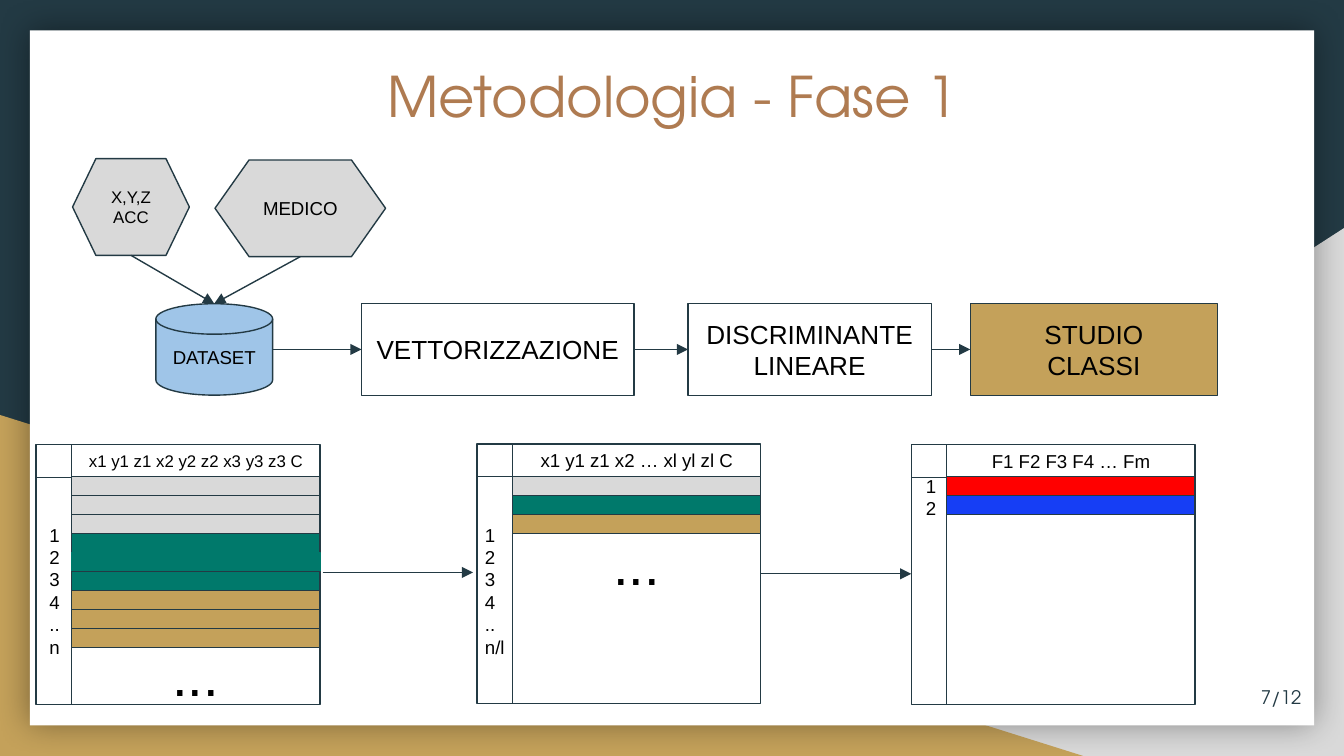
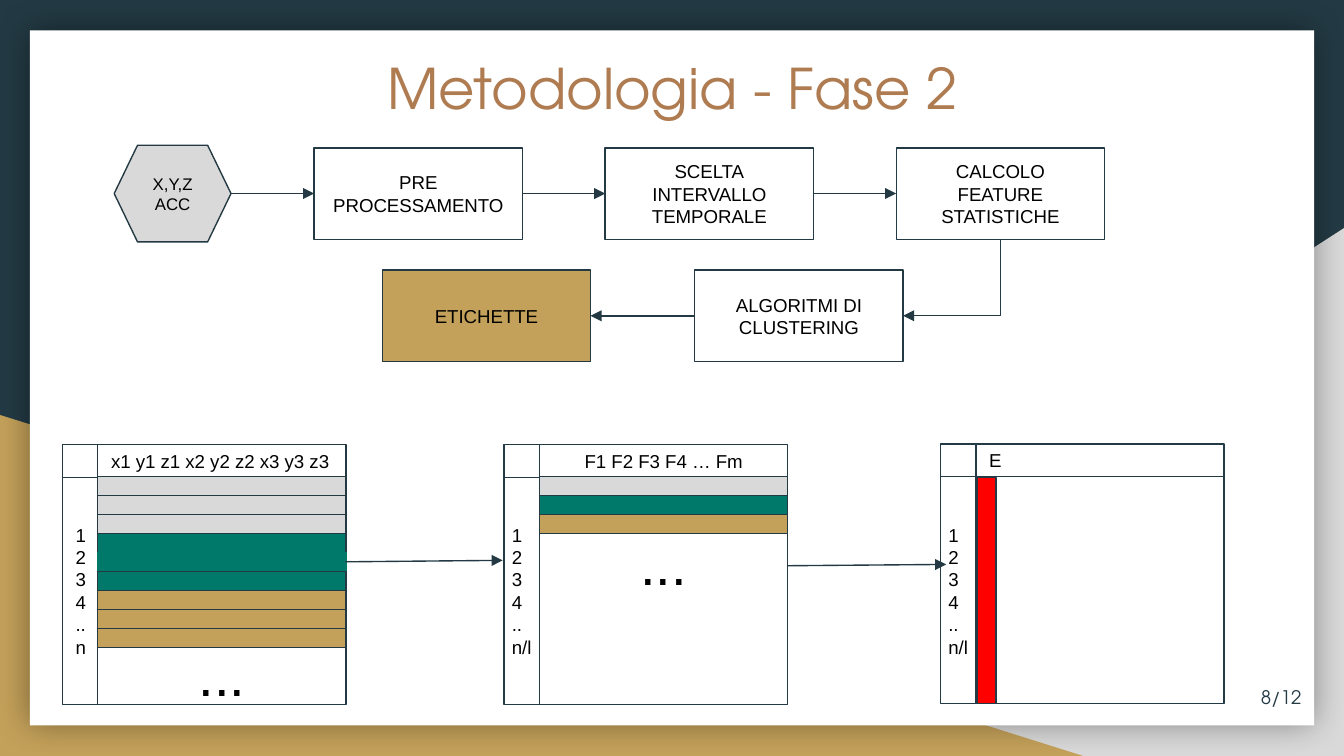
from lxml.etree import SubElement
from pptx import Presentation
from pptx.dml.color import RGBColor
from pptx.enum.shapes import MSO_CONNECTOR as Conn, MSO_SHAPE as Form
from pptx.enum.text import MSO_ANCHOR as Anchor, PP_ALIGN as Align
from pptx.oxml.ns import qn
from pptx.util import Pt

COL = {"navy": "233A44", "grey": "D9D9D9", "gold": "C4A15A", "white": "FFFFFF",
       "brown": "AF7B51", "black": "000000", "sky": "9FC5E8", "teal": "00796B",
       "red": "FF0000", "blue": "163EF5"}
BODY, HEAD = "Arial", "TeX Gyre Adventor"

# Shared measures
BOX_H, HEX_H = 49, 51.8
GRID_W, GRID_H, SIDE, CAP = 152, 139, 19, 17.4
BAR_TOP, BAR_H = 255.2, 10.2

# Bars as (fill, edge)
LONG = ([("grey", "navy")] * 3
        + [("teal", "navy"), ("teal", "teal"), ("teal", "navy")]
        + [("gold", "navy")] * 3)
SHORT = [("grey", "navy"), ("teal", "navy"), ("gold", "navy")]
PAIR = [("red", "navy"), ("blue", "navy")]

# Row labels: lines, shift, width, height
ROWS = (["1", "2", "3", "4", "..", "n"], 0, 25.2, 121.7)
PARTS = (["1", "2", "3", "4", "..", "n/l"], -2.9, 25.2, 121.7)
TWO = (["1", "2"], 0.7, 18, 21.6)

DISK, HEX, PROC = (Form.FLOWCHART_MAGNETIC_DISK, Form.FLOWCHART_PREPARATION,
                   Form.FLOWCHART_PROCESS)

# Nodes: form, box, fill, size, lines. Links: node, side, node, side.
# Grids: left, top, heading, size, alignment, labels, bars, top of dots.
SLIDES = [
    {"title": "Metodologia - Fase 1", "top": 25.9, "page": "7/12",
     "nodes": {
         "data": (DISK, (83.5, 162.7, 62.6, BOX_H), "sky", 10, ["DATASET"]),
         "acc": (HEX, (38.9, 85, 62.6, HEX_H), "grey", 9, ["X,Y,Z", "ACC"]),
         "med": (HEX, (115.2, 85.7, 91.4, HEX_H), "grey", 10, ["MEDICO"]),
         "vett": (PROC, (193.7, 162.7, 146, BOX_H), None, 14, ["VETTORIZZAZIONE"]),
         "disc": (PROC, (368.6, 162.7, 130.3, BOX_H), None, 14,
                  ["DISCRIMINANTE LINEARE"]),
         "study": (PROC, (519.8, 162.7, 132.5, BOX_H), "gold", 14,
                   ["STUDIO", "CLASSI"])},
     "links": [("med", "b", "data", "t"), ("acc", "b", "data", "t"),
               ("data", "r", "vett", "l"), ("vett", "r", "disc", "l"),
               ("disc", "r", "study", "l")],
     "grids": [
         (19.4, 238.3, "x1 y1 z1 x2 y2 z2 x3 y3 z3 C", 9, Align.CENTER,
          ROWS, LONG, 350.6),
         (255.6, 237.8, "x1 y1 z1 x2 … xl yl zl C", 10, Align.CENTER,
          PARTS, SHORT, 290.9),
         (488.2, 238.3, "F1 F2 F3 F4 … Fm", 10, Align.CENTER, TWO, PAIR, None)],
     "flow": [(172.8, 306.7, 253.4, 306.7), (407.5, 307.4, 488.2, 307.4)]},
    {"title": "Metodologia - Fase 2", "top": 21.6, "page": "8/12",
     "nodes": {
         "acc": (HEX, (61.2, 77.8, 62.6, HEX_H), "grey", 9, ["X,Y,Z", "ACC"]),
         "pre": (PROC, (168.3, 79.2, 111.6, BOX_H), None, 10,
                 ["PRE", "PROCESSAMENTO"]),
         "pick": (PROC, (324.2, 79.2, 111.6, BOX_H), None, 10,
                  ["SCELTA", "INTERVALLO TEMPORALE"]),
         "calc": (PROC, (480.1, 79.2, 111.6, BOX_H), None, 10,
                  ["CALCOLO", "FEATURE STATISTICHE"]),
         "alg": (PROC, (372.2, 144.7, 111.6, BOX_H), None, 10,
                 ["ALGORITMI DI CLUSTERING"]),
         "tag": (PROC, (204.8, 144.7, 111.6, BOX_H), "gold", 10, ["ETICHETTE"])},
     "links": [("acc", "r", "pre", "l"), ("pre", "r", "pick", "l"),
               ("pick", "r", "calc", "l"), ("calc", "b", "alg", "r"),
               ("alg", "l", "tag", "r")],
     "grids": [
         (33.4, 238.3, "x1 y1 z1 x2 y2 z2 x3 y3 z3", 10, Align.LEFT,
          ROWS, LONG, 350.6),
         (270, 238.3, "F1 F2 F3 F4 … Fm", 10, Align.CENTER, PARTS, SHORT, 290.9),
         (503.8, 237.8, "E", 10, Align.LEFT, PARTS, [], None)],
     "column": (523.4, 255.8, BAR_H, 121),
     "flow": [(185, 301, 269.3, 300.2), (421.9, 303.1, 506.9, 302.4)]},
]


def rgb(name):
    return RGBColor.from_string(COL[name])


def pts(nums):
    return [Pt(n) for n in nums]


def write(shape, lines, size, font=BODY, tint="black", align=Align.CENTER,
          anchor=Anchor.MIDDLE):
    frame = shape.text_frame
    frame.word_wrap = True
    frame.vertical_anchor = anchor
    frame.margin_left = frame.margin_right = Pt(7.2)
    frame.margin_top = frame.margin_bottom = Pt(7.2)
    for i, line in enumerate(lines):
        para = frame.add_paragraph() if i else frame.paragraphs[0]
        para.alignment = align
        run = para.add_run()
        run.text = line
        run.font.size, run.font.name = Pt(size), font
        run.font.color.rgb = rgb(tint)


def label(slide, box, lines, size, **style):
    write(slide.shapes.add_textbox(*pts(box)), lines, size, **style)


def draw(slide, form, box, fill, edge="navy"):
    shape = slide.shapes.add_shape(form, *pts(box))
    shape.shadow.inherit = False
    if fill:
        shape.fill.solid()
        shape.fill.fore_color.rgb = rgb(fill)
    else:
        shape.fill.background()
    if edge:
        shape.line.color.rgb = rgb(edge)
        shape.line.width = Pt(0.75)
    else:
        shape.line.fill.background()
    return shape


def arrow(slide, x1, y1, x2, y2):
    line = slide.shapes.add_connector(Conn.STRAIGHT, *pts((x1, y1, x2, y2)))
    line.line.color.rgb = rgb("navy")
    line.line.width = Pt(0.75)
    props = line.element.spPr
    SubElement(props.find(qn("a:ln")), qn("a:tailEnd"), type="triangle")
    SubElement(props, qn("a:effectLst"))
    return line


def bend(slide, x1, y1, x2, y2):
    """Arrow that runs down, then left: a corner turned by 90 degrees."""
    mx, my = (x1 + x2) / 2, (y1 + y2) / 2
    half_w, half_h = (y2 - y1) / 2, (x1 - x2) / 2
    line = arrow(slide, mx - half_w, my - half_h, mx + half_w, my + half_h)
    props = line.element.spPr
    props.find(qn("a:prstGeom")).set("prst", "bentConnector2")
    props.xfrm.set("rot", "5400000")


def port(box, side):
    x, y, w, h = box
    return {"t": (x + w / 2, y), "b": (x + w / 2, y + h),
            "l": (x, y + h / 2), "r": (x + w, y + h / 2)}[side]


def frame_page(slide, data):
    # Backdrop and white card
    slide.background.fill.solid()
    slide.background.fill.fore_color.rgb = rgb("navy")
    wedge = draw(slide, Form.RIGHT_TRIANGLE, (282.2, 122.2, 437.8, 282.8), "grey", None)
    wedge.element.spPr.xfrm.set("flipH", "1")
    draw(slide, Form.RIGHT_TRIANGLE, (0, 222.3, 580.3, 182.7), "gold", None)
    card = draw(slide, Form.RECTANGLE, (16, 16.2, 688, 372.4), "white", None)
    glow = SubElement(card.element.spPr.find(qn("a:effectLst")), qn("a:outerShdw"),
                      blurRad=str(Pt(18)), dist="0", dir="0", algn="ctr",
                      rotWithShape="0")
    tint = SubElement(glow, qn("a:srgbClr"), val=COL["black"])
    SubElement(tint, qn("a:alpha"), val="40000")
    # Title and page number
    label(slide, (64.8, data["top"], 591, 75), [data["title"]], 30, font=HEAD,
          tint="brown", anchor=Anchor.TOP)
    label(slide, (661, 357.8, 43.2, 31), [data["page"]], 10, font=HEAD,
          tint="navy", align=Align.RIGHT)


def chart_flow(slide, nodes, links):
    for form, box, fill, size, lines in nodes.values():
        write(draw(slide, form, box, fill), lines, size)
    for one, out, two, into in links:
        ends = port(nodes[one][1], out) + port(nodes[two][1], into)
        (bend if (out, into) == ("b", "r") else arrow)(slide, *ends)


def grid(slide, x, y, head, size, align, rows, bars, dots):
    left, wide = x + SIDE, GRID_W - SIDE
    draw(slide, Form.FLOWCHART_INTERNAL_STORAGE, (x, y, GRID_W, GRID_H), "white")
    label(slide, (left, y, wide, CAP), [head], size, align=align)
    lines, shift, w, h = rows
    label(slide, (x + shift, 255.6, w, h), lines, 10, align=Align.LEFT)
    for i, (fill, edge) in enumerate(bars):
        draw(slide, Form.RECTANGLE, (left, BAR_TOP + i * BAR_H, wide, BAR_H),
             fill, edge)
    if dots:
        label(slide, (left, dots, wide, 21.6), ["..."], 30)


def main():
    deck = Presentation()
    deck.slide_width, deck.slide_height = Pt(720), Pt(405)
    for data in SLIDES:
        slide = deck.slides.add_slide(deck.slide_layouts[6])
        frame_page(slide, data)
        chart_flow(slide, data["nodes"], data["links"])
        for item in data["grids"]:
            grid(slide, *item)
        if "column" in data:
            draw(slide, Form.RECTANGLE, data["column"], "red")
        for ends in data["flow"]:
            arrow(slide, *ends)
    deck.save("out.pptx")


if __name__ == "__main__":
    main()
